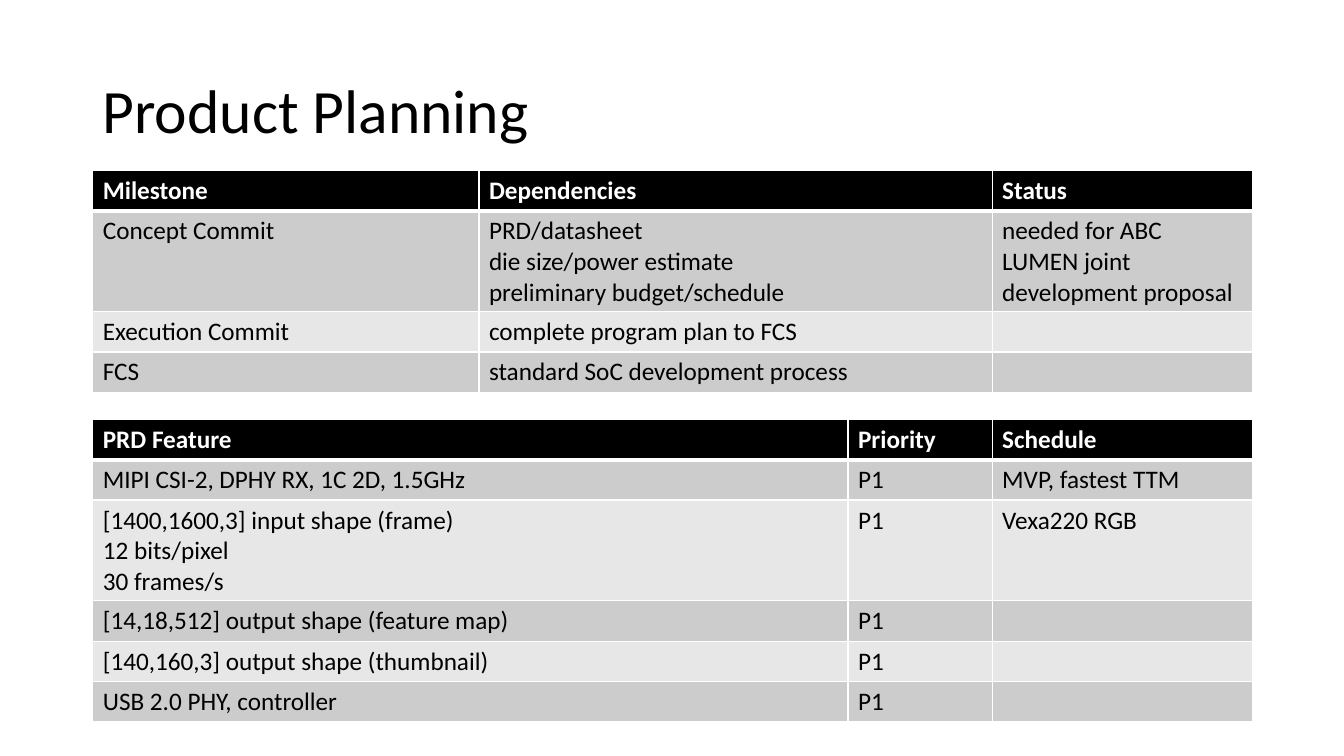
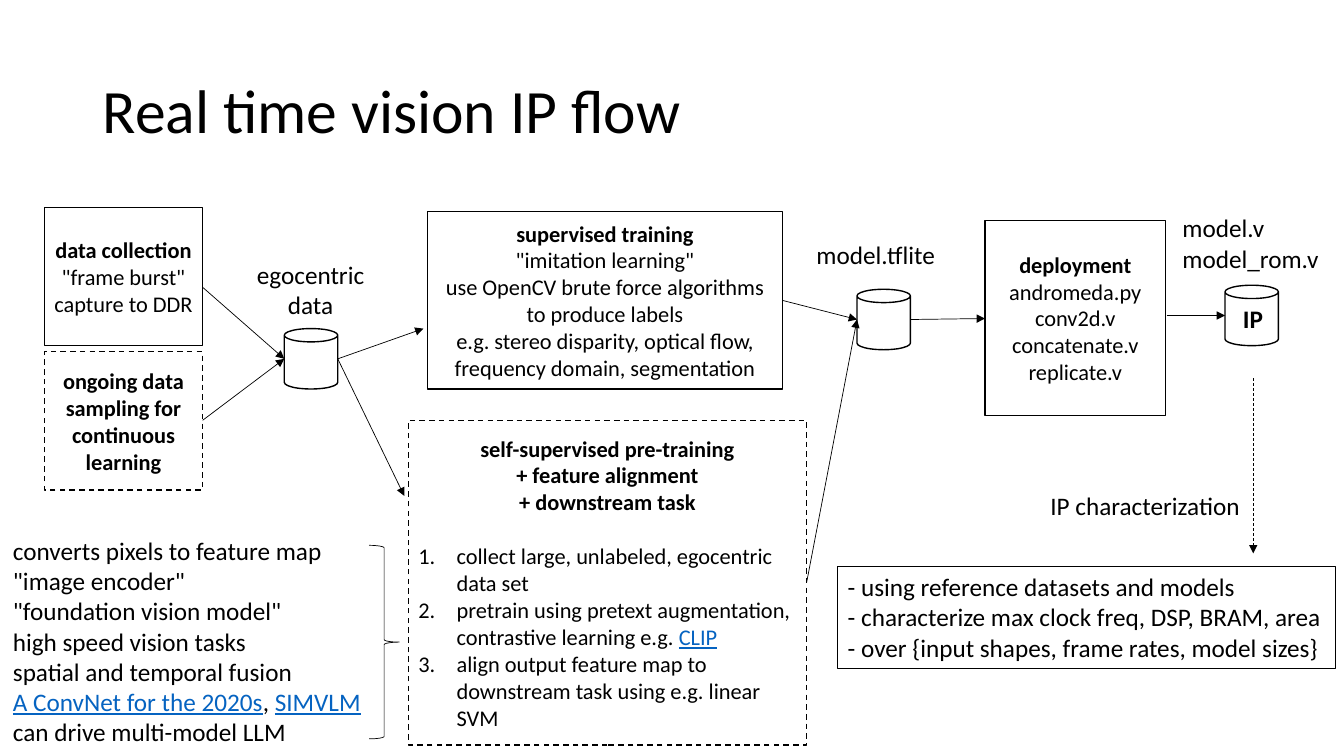
from dataclasses import dataclass

from lxml import etree
from pptx import Presentation
from pptx.dml.color import RGBColor
from pptx.enum.dml import MSO_LINE
from pptx.enum.shapes import MSO_CONNECTOR, MSO_SHAPE
from pptx.enum.text import MSO_ANCHOR, PP_ALIGN
from pptx.oxml.ns import qn
from pptx.util import Inches, Pt

RECTANGLE, CAN, BRACE = MSO_SHAPE.RECTANGLE, MSO_SHAPE.CAN, MSO_SHAPE.LEFT_BRACE
STRAIGHT = MSO_CONNECTOR.STRAIGHT
DASH = MSO_LINE.DASH
LEFT, CENTER = PP_ALIGN.LEFT, PP_ALIGN.CENTER
TOP, MIDDLE = MSO_ANCHOR.TOP, MSO_ANCHOR.MIDDLE


@dataclass(frozen=True)
class Theme:
    font: str = "Calibri"
    ink: str = "000000"
    paper: str = "FFFFFF"
    link: str = "0563C1"
    bands: tuple = ("CCCCCC", "E7E7E7")
    title_size: int = 44
    body_size: int = 18
    box_size: int = 16
    thin: float = 0.5
    frame: float = 0.75
    outline: float = 1


@dataclass(frozen=True)
class Span:
    text: str
    bold: bool = False
    link: bool = False


@dataclass(frozen=True)
class Step:
    """One numbered paragraph made of spans."""
    spans: tuple
    space_before: float = 0


def bold(text):
    return [Span(text, bold=True)]


def rgb(color):
    return RGBColor.from_string(color)


class Deck:
    def __init__(self, theme):
        self.theme = theme
        self.deck = Presentation()
        self.deck.slide_width = Inches(13.33)
        self.deck.slide_height = Inches(7.5)
        self.page = None

    def add_page(self, title):
        self.page = self.deck.slides.add_slide(self.deck.slide_layouts[6])
        frame = self.text((0.92, 0.4, 11.5, 1.45), [title], self.theme.title_size,
                          anchor=MIDDLE, wrap=True)
        frame.paragraphs[0].line_spacing = 0.9

    def fill_text(self, frame, lines, size, align=LEFT, color=None):
        """Fill a text frame; a line is a string, a list of spans or a Step."""
        for index, line in enumerate(lines):
            para = frame.add_paragraph() if index else frame.paragraphs[0]
            para.alignment = align
            if isinstance(line, Step):
                self.number(para, line.space_before)
                line = line.spans
            elif isinstance(line, str):
                line = [Span(line)]
            for part in line:
                span = para.add_run()
                span.text = part.text
                font = span.font
                font.name, font.size, font.bold = self.theme.font, Pt(size), part.bold
                font.underline = part.link
                font.color.rgb = rgb(self.theme.link if part.link else color or self.theme.ink)

    def number(self, para, space_before):
        para.alignment = LEFT
        properties = para._p.get_or_add_pPr()
        properties.set("marL", str(Inches(0.38)))
        properties.set("indent", str(-Inches(0.38)))
        etree.SubElement(properties, qn("a:buAutoNum"), type="arabicPeriod")
        if space_before:
            para.space_before = Pt(space_before)

    def text(self, place, lines, size=None, align=LEFT, anchor=TOP, wrap=False):
        box = self.page.shapes.add_textbox(*map(Inches, place))
        frame = box.text_frame
        frame.word_wrap, frame.vertical_anchor = wrap, anchor
        self.fill_text(frame, lines, size or self.theme.body_size, align)
        return frame

    def shape(self, kind, place, width=None, dash=None):
        shape = self.page.shapes.add_shape(kind, *map(Inches, place))
        shape.shadow.inherit = False
        shape.fill.background()
        self.stroke(shape.line, width or self.theme.outline, dash)
        return shape

    def box(self, place, lines, dash=None):
        frame = self.shape(RECTANGLE, place, dash=dash).text_frame
        frame.word_wrap, frame.vertical_anchor = True, MIDDLE
        self.fill_text(frame, lines, self.theme.box_size, CENTER)

    def note(self, place, lines):
        frame = self.shape(RECTANGLE, place, self.theme.frame).text_frame
        frame.word_wrap, frame.vertical_anchor = False, TOP
        self.fill_text(frame, lines, self.theme.body_size)

    def stroke(self, line, width, dash):
        line.color.rgb = rgb(self.theme.ink)
        line.width = Pt(width)
        if dash:
            line.dash_style = dash

    def arrow(self, start, end, dash=None):
        arrow = self.page.shapes.add_connector(STRAIGHT, *map(Inches, start + end))
        self.stroke(arrow.line, self.theme.thin, dash)
        properties = arrow._element.spPr
        etree.SubElement(properties.find(qn("a:ln")), qn("a:tailEnd"), type="triangle")
        etree.SubElement(properties, qn("a:effectLst"))

    def border(self, cell, bottom):
        properties = cell._tc.get_or_add_tcPr()
        for side, width in (("L", 1), ("R", 1), ("T", 1), ("B", bottom)):
            line = etree.SubElement(properties, qn(f"a:ln{side}"), w=str(Pt(width)))
            fill = etree.SubElement(line, qn("a:solidFill"))
            etree.SubElement(fill, qn("a:srgbClr"), val=self.theme.paper)

    def table(self, top, widths, rows):
        theme = self.theme
        heights = [0.1 + 0.3 * max(len(cell.splitlines()) for cell in row) for row in rows]
        table = self.page.shapes.add_table(
            len(rows), len(widths), Inches(0.92), Inches(top),
            Inches(sum(widths)), Inches(sum(heights))).table
        for column, width in zip(table.columns, widths):
            column.width = Inches(width)
        for index, (row, height) in enumerate(zip(rows, heights)):
            table.rows[index].height = Inches(height)
            header = index == 0
            fill = theme.ink if header else theme.bands[(index - 1) % 2]
            for column, content in enumerate(row):
                cell = table.cell(index, column)
                self.border(cell, 3 if header else 1)
                cell.fill.solid()
                cell.fill.fore_color.rgb = rgb(fill)
                lines = [[Span(line, bold=header)] for line in content.splitlines()]
                self.fill_text(cell.text_frame, lines, theme.body_size,
                               color=theme.paper if header else theme.ink)


def planning_page(deck):
    deck.add_page("Product Planning")
    deck.table(1.69, (3.83, 5.09, 2.58), [
        ("Milestone", "Dependencies", "Status"),
        ("Concept Commit",
         "PRD/datasheet\ndie size/power estimate\npreliminary budget/schedule",
         "needed for ABC LUMEN joint development proposal"),
        ("Execution Commit", "complete program plan to FCS", ""),
        ("FCS", "standard SoC development process", ""),
    ])
    deck.table(4.16, (7.49, 1.43, 2.58), [
        ("PRD Feature", "Priority", "Schedule"),
        ("MIPI CSI-2, DPHY RX, 1C 2D, 1.5GHz", "P1", "MVP, fastest TTM"),
        ("[1400,1600,3] input shape (frame)\n12 bits/pixel\n30 frames/s", "P1", "Vexa220 RGB"),
        ("[14,18,512] output shape (feature map)", "P1", ""),
        ("[140,160,3] output shape (thumbnail)", "P1", ""),
        ("USB 2.0 PHY, controller", "P1", ""),
    ])


def flow_page(deck):
    deck.add_page("Real time vision IP flow")

    deck.box((0.44, 2.06, 1.57, 1.37),
             [bold("data collection"), '"frame burst"', "capture to DDR"])
    deck.box((0.44, 3.49, 1.57, 1.37),
             [bold("ongoing data sampling for continuous learning")], DASH)
    deck.box((4.24, 2.1, 3.52, 1.76), [
        bold("supervised training"),
        '"imitation learning"',
        "use OpenCV brute force algorithms to produce labels",
        "e.g. stereo disparity, optical flow, frequency domain, segmentation",
    ])
    deck.box((4.05, 4.17, 3.95, 3.22), [
        bold("self-supervised pre-training"),
        bold("+ feature alignment"),
        bold("+ downstream task"),
        Step((Span("collect large, unlabeled, egocentric data set"),), space_before=19.5),
        Step((Span("pretrain using pretext augmentation, contrastive learning e.g. "),
              Span("CLIP", link=True))),
        Step((Span("align output feature map to downstream task using e.g. linear SVM"),)),
    ], DASH)
    deck.box((9.77, 2.19, 1.79, 1.93), [
        bold("deployment"), "andromeda.py", "conv2d.v", "concatenate.v", "replicate.v"])

    for left, top in ((2.82, 3.26), (8.5, 2.87), (12.15, 2.83)):
        deck.shape(CAN, (left, top, 0.53, 0.6))

    deck.text((2.44, 2.52, 1.28, 0.71), ["egocentric", "data"], align=CENTER)
    deck.text((8, 2.33, 1.4, 0.4), ["model.tflite"])
    deck.text((11.63, 2.06, 1.57, 0.71), ["model.v", "model_rom.v"])
    deck.text((12.23, 2.96, 0.4, 0.4), [bold("IP")])
    deck.text((10.32, 4.82, 2.1, 0.4), ["IP characterization"])
    deck.text((0.03, 5.26, 4.3, 2.22), [
        "converts pixels to feature map",
        '"image encoder"',
        '"foundation vision model"',
        "high speed vision tasks",
        "spatial and temporal fusion",
        [Span("A ConvNet for the 2020s", link=True), Span(", "), Span("SIMVLM", link=True)],
        "can drive multi-model LLM",
    ], wrap=True)
    deck.shape(BRACE, (3.66, 5.41, 0.3, 1.92), deck.theme.thin).rotation = 180
    deck.note((8.31, 5.62, 4.94, 1.01), [
        "- using reference datasets and models",
        "- characterize max clock freq, DSP, BRAM, area",
        "- over {input shapes, frame rates, model sizes}",
    ])

    data_in, data_out, model_in = (2.82, 3.56), (3.35, 3.56), (8.5, 3.17)
    for start, end in (
        ((2.01, 2.85), data_in),
        ((2.01, 4.17), data_in),
        (data_out, (4.2, 3.26)),
        (data_out, (4.01, 4.92)),
        ((7.76, 2.98), model_in),
        ((8, 5.78), model_in),
        ((9.03, 3.17), (9.77, 3.16)),
        ((11.57, 3.13), (12.15, 3.13)),
    ):
        deck.arrow(start, end)
    deck.arrow((12.43, 3.75), (12.43, 5.49), DASH)


def main():
    deck = Deck(Theme())
    planning_page(deck)
    flow_page(deck)
    deck.deck.save("out.pptx")


if __name__ == "__main__":
    main()
